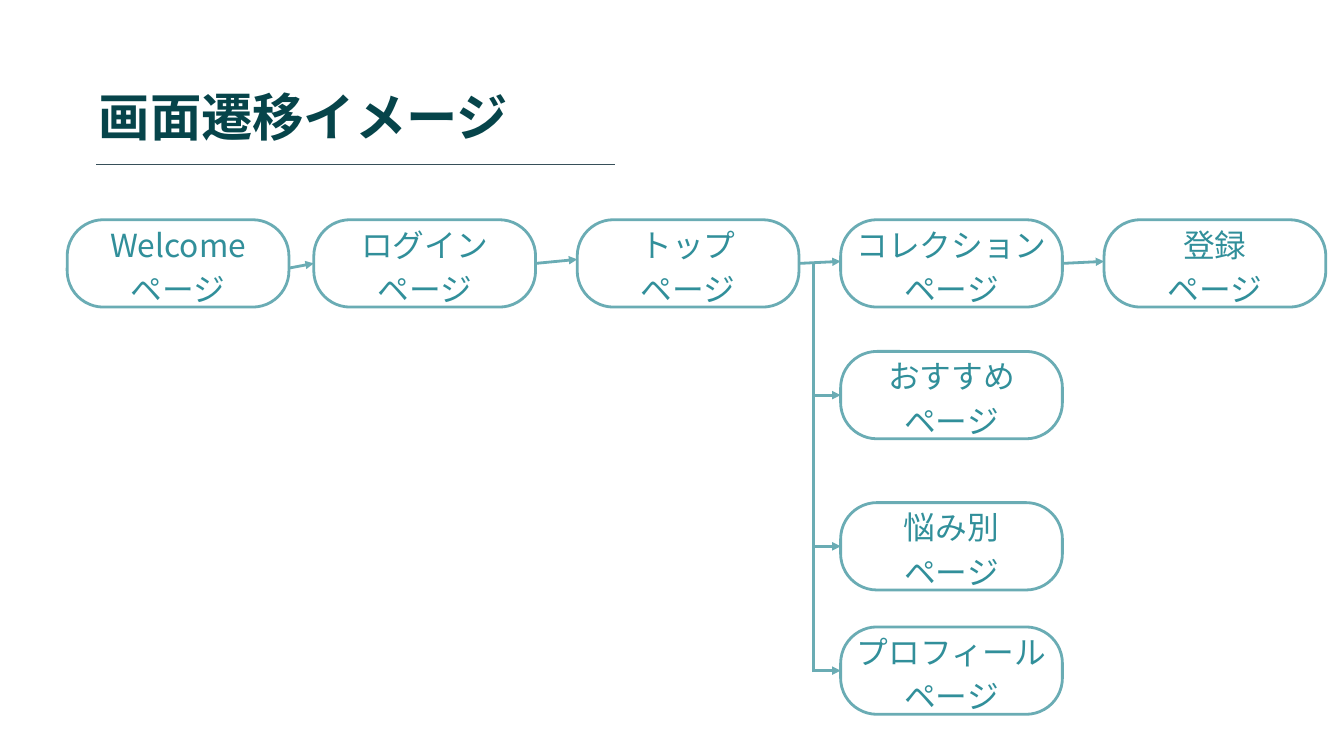
"""Build the screen transition slide."""
from typing import NamedTuple

from lxml.etree import Element, SubElement
from pptx import Presentation
from pptx.dml.color import RGBColor
from pptx.enum.shapes import MSO_CONNECTOR as Connector, MSO_SHAPE as Preset
from pptx.enum.text import MSO_ANCHOR as Anchor, MSO_AUTO_SIZE as AutoSize, PP_ALIGN as Align
from pptx.oxml.ns import qn
from pptx.slide import Slide
from pptx.text.text import TextFrame
from pptx.util import Inches, Pt

WHITE = RGBColor(0xFF, 0xFF, 0xFF)
TEAL = RGBColor(0x6A, 0xAC, 0xB4)
PAGE_TEXT = RGBColor(0x31, 0x8F, 0x9A)
TITLE_TEXT = RGBColor(0x06, 0x44, 0x4A)
RULE = RGBColor(0x37, 0x4F, 0x59)
JAPANESE_FONT = "Noto Sans CJK JP"

PAGE_WIDTH, PAGE_HEIGHT = 3.3, 1.3
CORNER_RADIUS = 0.54
TOP_ROW = 3.27
COLUMNS = [1.0, *(4.67 + 3.92 * index for index in range(4))]
BRANCH_COLUMN = COLUMNS[3]
TRUNK = 12.11


class Page(NamedTuple):
    name: str
    left: float
    top: float


class Link(NamedTuple):
    start: tuple[float, float]
    end: tuple[float, float]
    arrow: bool = True


MAIN_PAGES = [
    Page(name, left, TOP_ROW)
    for name, left in zip(["Welcome", "ログイン", "トップ", "コレクション", "登録"], COLUMNS)
]
BRANCH_PAGES = [
    Page("おすすめ", BRANCH_COLUMN, 5.23),
    Page("悩み別", BRANCH_COLUMN, 7.48),
    Page("プロフィール", BRANCH_COLUMN, 9.33),
]
MAIN_HEIGHTS = [(3.99, 3.92), (3.92, 3.86), (3.92, 3.89), (3.92, 3.89)]
MAIN_LINKS = [
    Link((left + PAGE_WIDTH, start), (following, end))
    for left, following, (start, end) in zip(COLUMNS, COLUMNS[1:], MAIN_HEIGHTS)
]
BRANCH_LINKS = [
    Link((TRUNK, page.top + PAGE_HEIGHT / 2), (page.left, page.top + PAGE_HEIGHT / 2))
    for page in BRANCH_PAGES
]


def write_text(frame: TextFrame, text: str, *, size: float, color: RGBColor, font: str,
               spacing: float, align: Align, anchor: Anchor, bold: bool = False) -> None:
    frame.text = text
    frame.word_wrap = True
    frame.auto_size = AutoSize.NONE
    frame.vertical_anchor = anchor
    frame.margin_left = frame.margin_right = frame.margin_top = frame.margin_bottom = 0
    for paragraph in frame.paragraphs:
        paragraph.alignment = align
        paragraph.line_spacing = Pt(spacing)
        for run in paragraph.runs:
            run.font.size = Pt(size)
            run.font.bold = bold
            run.font.color.rgb = color
            run.font.name = font
            east_asian = Element(qn("a:ea"), typeface=JAPANESE_FONT)
            run.font._element.find(qn("a:latin")).addnext(east_asian)


def draw_link(slide: Slide, link: Link, color: RGBColor = TEAL, width: float = 3) -> None:
    points = [Inches(value) for value in (*link.start, *link.end)]
    connector = slide.shapes.add_connector(Connector.STRAIGHT, *points)
    connector.line.color.rgb = color
    connector.line.width = Pt(width)
    properties = connector._element.spPr
    if link.arrow:
        SubElement(properties.find(qn("a:ln")), qn("a:tailEnd"), type="triangle")
    SubElement(properties, qn("a:effectLst"))


def draw_page(slide: Slide, page: Page) -> None:
    shape = slide.shapes.add_shape(
        Preset.ROUNDED_RECTANGLE, Inches(page.left), Inches(page.top),
        Inches(PAGE_WIDTH), Inches(PAGE_HEIGHT))
    shape.adjustments[0] = CORNER_RADIUS / PAGE_HEIGHT
    shape.shadow.inherit = False
    shape.fill.solid()
    shape.fill.fore_color.rgb = WHITE
    shape.line.color.rgb = TEAL
    shape.line.width = Pt(3)
    write_text(shape.text_frame, f"{page.name}\nページ", size=34, color=PAGE_TEXT,
               font=JAPANESE_FONT, spacing=47.6, align=Align.CENTER, anchor=Anchor.MIDDLE)


def draw_title(slide: Slide, text: str) -> None:
    title = slide.shapes.title
    title.left, title.top = Inches(1.47), Inches(1.11)
    title.width, title.height = Inches(12.21), Inches(1.03)
    write_text(title.text_frame, text, size=55, color=TITLE_TEXT, font="Lato",
               spacing=77, align=Align.JUSTIFY, anchor=Anchor.TOP, bold=True)


def main() -> None:
    presentation = Presentation()
    presentation.slide_width, presentation.slide_height = Inches(20), Inches(11.25)
    slide = presentation.slides.add_slide(presentation.slide_layouts[5])
    draw_title(slide, "画面遷移イメージ")
    draw_link(slide, Link((1.43, 2.45), (9.15, 2.45), arrow=False), RULE, 1.5)
    for page in MAIN_PAGES + BRANCH_PAGES:
        draw_page(slide, page)
    trunk = Link((TRUNK, 10), (TRUNK, 3.92), arrow=False)
    for link in [*MAIN_LINKS, trunk, *BRANCH_LINKS]:
        draw_link(slide, link)
    presentation.save("out.pptx")


if __name__ == "__main__":
    main()
